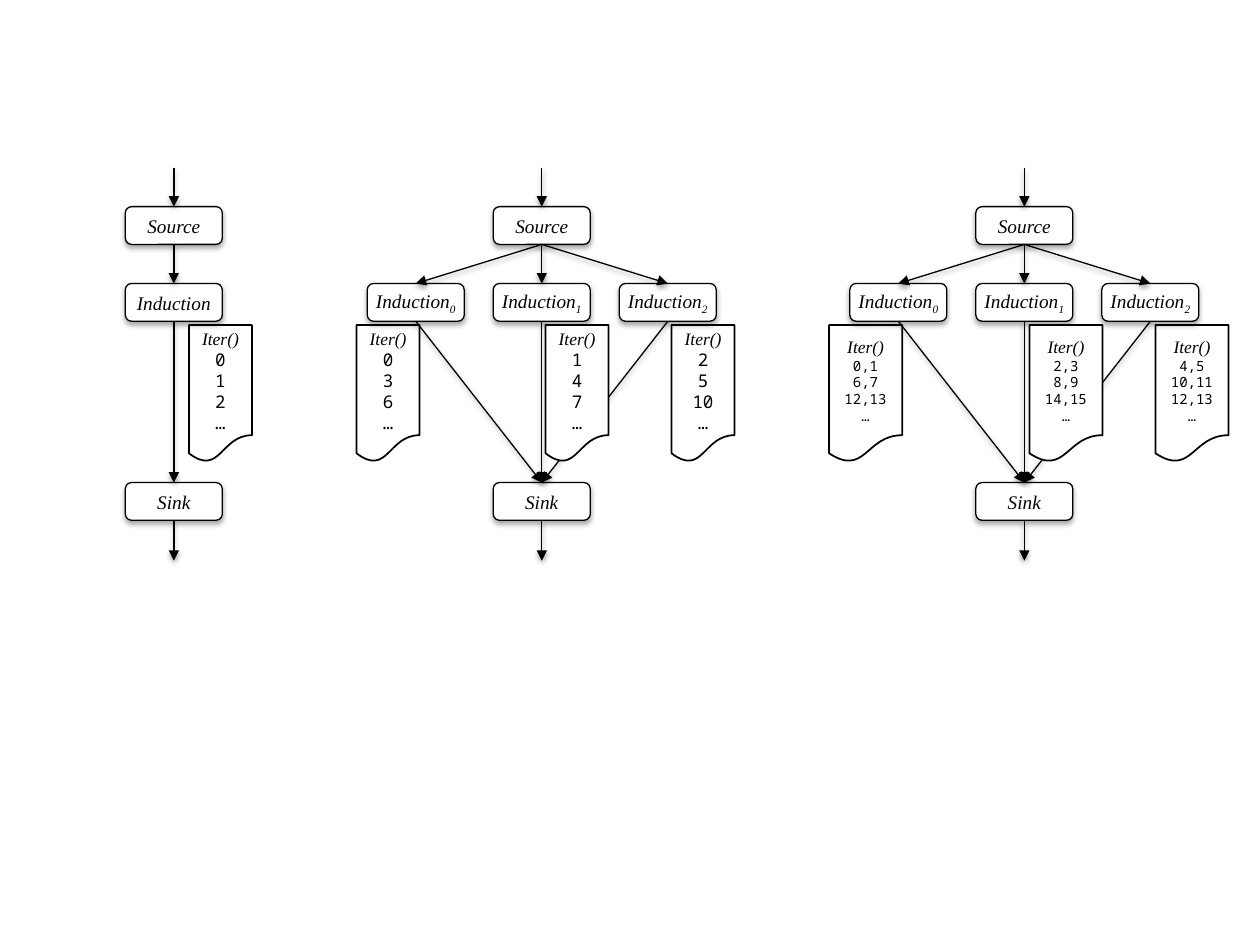
from dataclasses import dataclass

from lxml.etree import SubElement
from pptx import Presentation
from pptx.dml.color import RGBColor
from pptx.enum.shapes import MSO_CONNECTOR, MSO_SHAPE
from pptx.enum.text import MSO_ANCHOR, PP_ALIGN
from pptx.oxml.ns import qn
from pptx.shapes.autoshape import Shape
from pptx.shapes.connector import Connector
from pptx.util import Inches, Pt

BLACK = "000000"
WHITE = "FFFFFF"
SERIF = "Times New Roman"
MONO = "Noto Sans Mono"
NODE_WIDTH, NODE_HEIGHT = 0.77, 0.3
SOURCE_TOP, INDUCTION_TOP, SINK_TOP = 1.64, 2.25, 3.83
ENTRY_TOP, EXIT_BOTTOM = 1.33, 4.45
LIST_TOP, LIST_HEIGHT = 2.58, 1.09
BRANCH_GAP = 1.0
TOP_SITE, BOTTOM_SITE = 0, 2


@dataclass(frozen=True)
class Branch:
    index: str
    offset: float
    list_shift: float
    values: tuple[str, ...]
    opaque_list: bool = False


@dataclass(frozen=True)
class Pipeline:
    center: float
    list_width: float
    value_size: float
    value_pitch: float
    branches: tuple[Branch, ...]


PIPELINES = (
    Pipeline(1.38, 0.5, 10, 12, (
        Branch("", 0, 0.12, ("0", "1", "2")),
    )),
    Pipeline(4.3, 0.5, 10, 12, (
        Branch("0", -BRANCH_GAP, -0.47, ("0", "3", "6")),
        Branch("1", 0, 0.03, ("1", "4", "7"), True),
        Branch("2", BRANCH_GAP, 0.03, ("2", "5", "10")),
    )),
    Pipeline(8.13, 0.58, 8, 9.5, (
        Branch("0", -BRANCH_GAP, -0.55, ("0,1", "6,7", "12,13")),
        Branch("1", 0, 0.04, ("2,3", "8,9", "14,15"), True),
        Branch("2", BRANCH_GAP, 0.04, ("4,5", "10,11", "12,13")),
    )),
)


def color(value: str) -> RGBColor:
    return RGBColor.from_string(value)


def add_shadow(part: Shape | Connector, opacity: int, distance: float) -> None:
    properties = part._element.spPr
    effects = properties.find(qn("a:effectLst"))
    if effects is None:
        effects = SubElement(properties, qn("a:effectLst"))
    shadow = SubElement(effects, qn("a:outerShdw"), blurRad=str(Pt(3.1)),
                        dist=str(Pt(distance)), dir="5400000", rotWithShape="0")
    tone = SubElement(shadow, qn("a:srgbClr"), val=BLACK)
    SubElement(tone, qn("a:alpha"), val=str(opacity * 1000))


def add_outline(kind: MSO_SHAPE, left: float, top: float, width: float,
                height: float, weight: float, filled: bool) -> Shape:
    outline = slide.shapes.add_shape(
        kind, Inches(left), Inches(top), Inches(width), Inches(height))
    outline.shadow.inherit = False
    if filled:
        outline.fill.solid()
        outline.fill.fore_color.rgb = color(WHITE)
    else:
        outline.fill.background()
    outline.line.color.rgb = color(BLACK)
    outline.line.width = Pt(weight)
    frame = outline.text_frame
    frame.vertical_anchor = MSO_ANCHOR.MIDDLE
    frame.margin_left = frame.margin_right = 0
    return outline


def format_paragraph(paragraph, face: str, size: float, italic: bool) -> None:
    paragraph.alignment = PP_ALIGN.CENTER
    for run in paragraph.runs:
        run.font.name = face
        run.font.size = Pt(size)
        run.font.italic = italic
        run.font.color.rgb = color(BLACK)


def add_node(center: float, top: float, label: str, index: str = "") -> Shape:
    node = add_outline(MSO_SHAPE.ROUNDED_RECTANGLE, center - NODE_WIDTH / 2, top,
                       NODE_WIDTH, NODE_HEIGHT, 0.75, True)
    add_shadow(node, 35, 1.8)
    node.text_frame.word_wrap = False
    paragraph = node.text_frame.paragraphs[0]
    paragraph.text = label
    if index:
        subscript = paragraph.add_run()
        subscript.text = index
        subscript.font._element.set("baseline", "-25000")
    format_paragraph(paragraph, SERIF, 11, True)
    return node


def add_arrow(center: float, start: float, end: float) -> Connector:
    arrow = slide.shapes.add_connector(
        MSO_CONNECTOR.STRAIGHT, Inches(center), Inches(start),
        Inches(center), Inches(end))
    arrow.line.color.rgb = color(BLACK)
    arrow.line.width = Pt(0.75)
    SubElement(arrow.line._get_or_add_ln(), qn("a:tailEnd"), type="triangle")
    add_shadow(arrow, 38, 1.6)
    return arrow


def link(upper: Shape, lower: Shape) -> None:
    arrow = add_arrow(0, 0, 0)
    arrow.begin_connect(upper, BOTTOM_SITE)
    arrow.end_connect(lower, TOP_SITE)


def add_iteration_list(pipeline: Pipeline, branch: Branch) -> None:
    left = pipeline.center + branch.offset + branch.list_shift
    document = add_outline(MSO_SHAPE.FLOWCHART_DOCUMENT, left, LIST_TOP,
                           pipeline.list_width, LIST_HEIGHT, 1, branch.opaque_list)
    frame = document.text_frame
    frame.word_wrap = True
    frame.text = "\n".join(("Iter()", *branch.values, "…"))
    heading, *values = frame.paragraphs
    format_paragraph(heading, SERIF, 10, True)
    for value in values:
        format_paragraph(value, MONO, pipeline.value_size, False)
        value.line_spacing = Pt(pipeline.value_pitch)


def draw_pipeline(pipeline: Pipeline) -> None:
    center = pipeline.center
    source = add_node(center, SOURCE_TOP, "Source")
    sink = add_node(center, SINK_TOP, "Sink")
    add_arrow(center, ENTRY_TOP, SOURCE_TOP)
    add_arrow(center, SINK_TOP + NODE_HEIGHT, EXIT_BOTTOM)
    for branch in pipeline.branches:
        induction = add_node(center + branch.offset, INDUCTION_TOP,
                             "Induction", branch.index)
        link(source, induction)
        link(induction, sink)
    for branch in pipeline.branches:
        add_iteration_list(pipeline, branch)


presentation = Presentation()
presentation.slide_width = Inches(10)
presentation.slide_height = Inches(7.5)
slide = presentation.slides.add_slide(presentation.slide_layouts[6])
for pipeline in PIPELINES:
    draw_pipeline(pipeline)
presentation.save("out.pptx")
